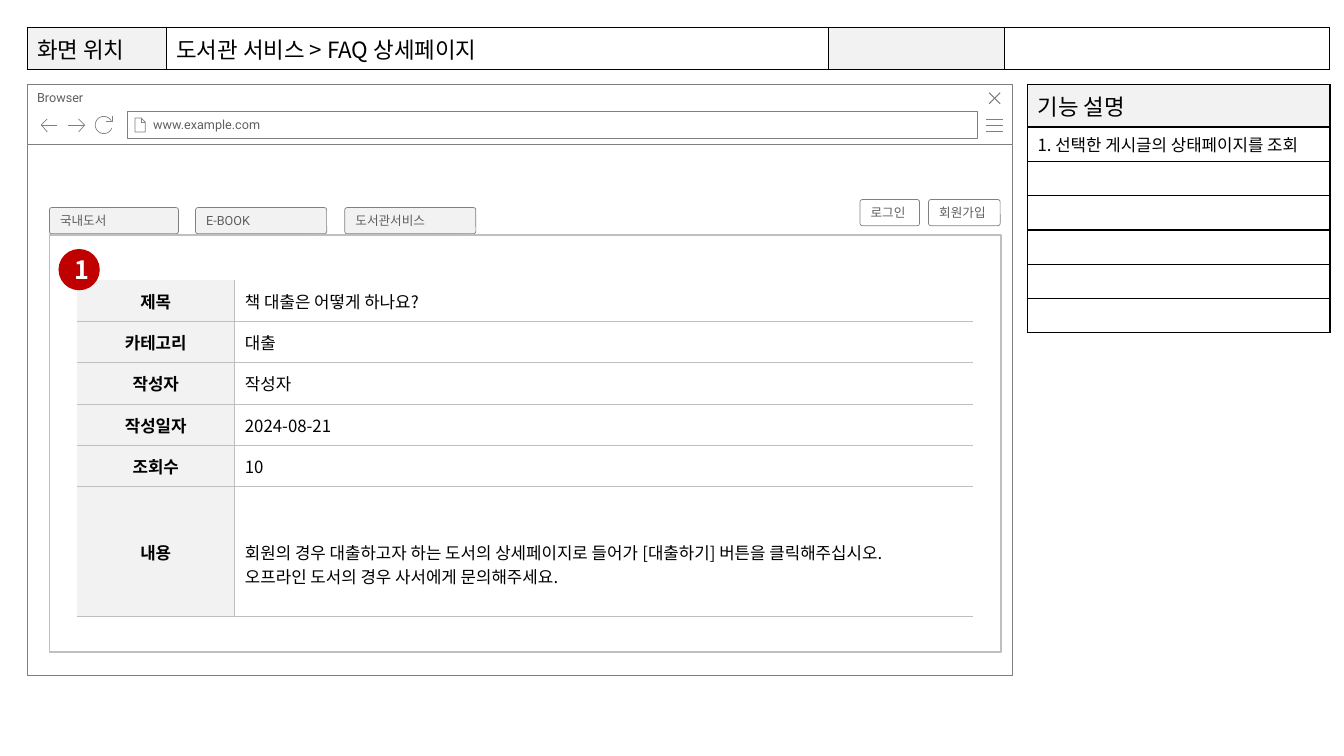
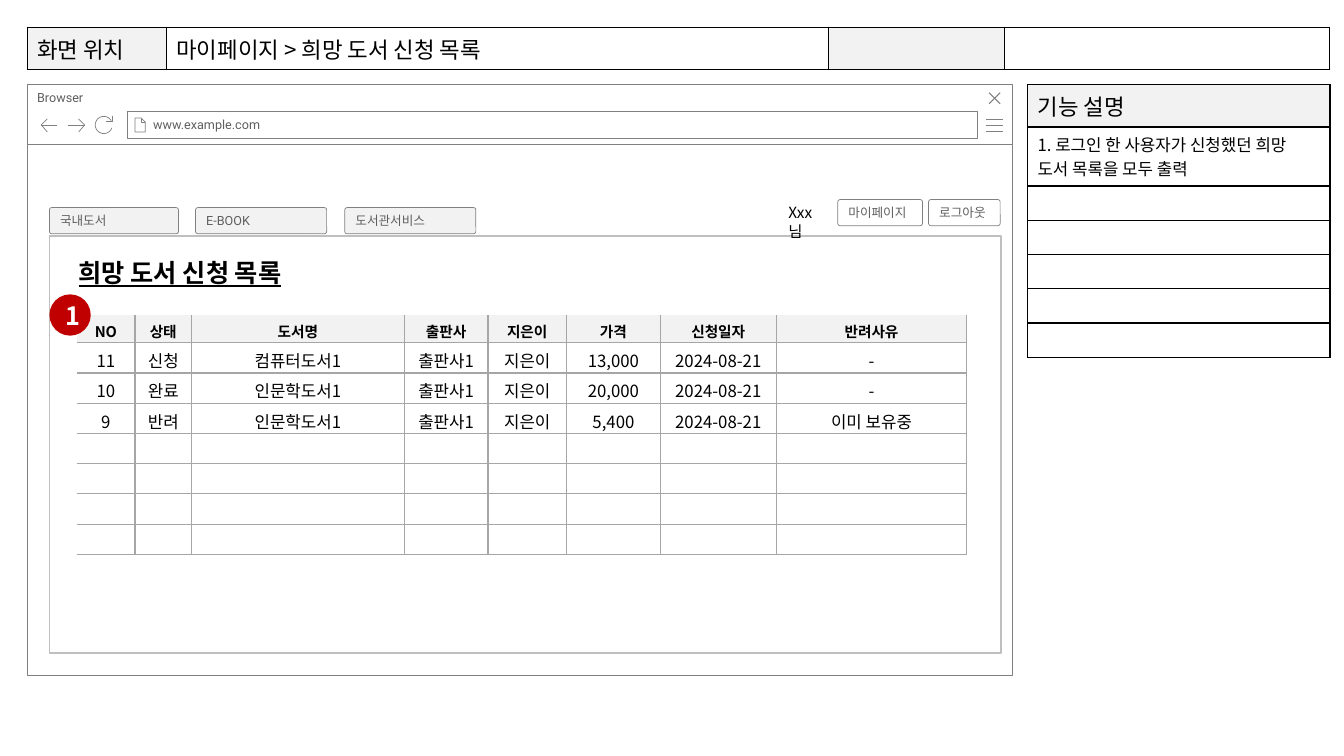
from math import cos, radians, sin

from lxml import etree
from pptx import Presentation
from pptx.dml.color import RGBColor
from pptx.enum.shapes import MSO_SHAPE
from pptx.enum.text import MSO_ANCHOR, MSO_AUTO_SIZE, PP_ALIGN
from pptx.oxml.ns import qn
from pptx.util import Inches, Pt

KOREAN, LATIN = "Noto Sans CJK KR", "Roboto"
BLACK, WHITE, RED = "000000", "FFFFFF", "C00000"
LABEL_FILL, UI_TEXT, UI_LINE = "F2F2F2", "5F5F5F", "808080"
PANEL_LINE, GRID_LINE = "BFBFBF", "A6A6A6"
NO_TABLE_STYLE = "{2D5ABB26-0587-4C30-8999-92F81FD0307C}"
TITLE_ONLY, BLANK = 5, 6


def rgb(color):
    return RGBColor.from_string(color)


def paint(target, fill=None, line=None, width=0.5):
    target.shadow.inherit = False
    if fill:
        target.fill.solid()
        target.fill.fore_color.rgb = rgb(fill)
    else:
        target.fill.background()
    if line:
        target.line.color.rgb = rgb(line)
        target.line.width = Pt(width)
    else:
        target.line.fill.background()


def write(frame, text, size, color=BLACK, font=KOREAN, bold=False,
          underline=False, align=PP_ALIGN.LEFT):
    frame.text = text
    for paragraph in frame.paragraphs:
        paragraph.alignment = align
        if not paragraph.runs:
            etree.SubElement(paragraph._p, qn("a:endParaRPr"), sz=str(int(size * 100)))
        for run in paragraph.runs:
            run.font.size = Pt(size)
            run.font.name = font
            run.font.bold = bold
            run.font.underline = underline
            run.font.color.rgb = rgb(color)
            east_asian = etree.SubElement(run.font._element, qn("a:ea"))
            east_asian.set("typeface", KOREAN)


def set_frame(frame, anchor, left=0.1, top=0.05, right=0.1, bottom=0.05):
    frame.word_wrap = True
    frame.auto_size = MSO_AUTO_SIZE.NONE
    frame.vertical_anchor = anchor
    frame.margin_left, frame.margin_top = Inches(left), Inches(top)
    frame.margin_right, frame.margin_bottom = Inches(right), Inches(bottom)


def add_box(slide, x, y, w, h, kind=MSO_SHAPE.RECTANGLE, **look):
    box = slide.shapes.add_shape(kind, Inches(x), Inches(y), Inches(w), Inches(h))
    paint(box, **look)
    return box


def add_icon(slide, *strokes, closed=False, width=0.5):
    """Draw strokes, each a list of (x, y) points in inches, as one outline."""
    paths = [[(Inches(x), Inches(y)) for x, y in stroke] for stroke in strokes]
    builder = slide.shapes.build_freeform(*paths[0][0])
    for index, path in enumerate(paths):
        if index:
            builder.move_to(*path[0])
        builder.add_line_segments(path[1:], close=closed and index == 0)
    paint(builder.convert_to_shape(), line=UI_LINE, width=width)


def add_browser(slide):
    add_box(slide, 0.27, 1.43, 9.77, 5.27, fill=WHITE, line=UI_LINE)
    toolbar = add_box(slide, 0.27, 0.84, 9.77, 0.59, fill=WHITE, line=UI_LINE)
    set_frame(toolbar.text_frame, MSO_ANCHOR.TOP)
    write(toolbar.text_frame, "Browser", 9, UI_TEXT, LATIN)
    address = add_box(slide, 1.26, 1.11, 8.43, 0.26, fill=WHITE, line=UI_LINE)
    set_frame(address.text_frame, MSO_ANCHOR.MIDDLE, left=0.26)
    write(address.text_frame, "www.example.com", 9, UI_TEXT, LATIN)

    menu = [[(9.78, y), (9.95, y)] for y in (1.18, 1.24, 1.3)]
    close = [[(9.92, 0.92), (9.81, 1.03)], [(9.81, 0.92), (9.92, 1.03)]]
    page = [[(1.4, 1.17), (1.34, 1.17), (1.34, 1.31), (1.44, 1.31), (1.44, 1.21)],
            [(1.4, 1.17), (1.4, 1.21), (1.44, 1.21)]]
    back = [[(0.47, 1.31), (0.41, 1.24), (0.47, 1.18)], [(0.41, 1.24), (0.57, 1.24)]]
    forward = [[(0.78, 1.18), (0.84, 1.24), (0.78, 1.31)], [(0.84, 1.24), (0.67, 1.24)]]
    arc = [(1.03 + 0.085 * cos(radians(a)), 1.24 + 0.085 * sin(radians(a)))
           for a in range(20, 331, 10)]
    reload = [arc, [(1.11, 1.15), (1.11, 1.2), (1.05, 1.2)]]
    add_icon(slide, *close, width=0.75)
    add_icon(slide, *page, closed=True)
    for strokes in (menu, back, forward, reload):
        add_icon(slide, *strokes)


def add_button(slide, text, x, y, w, fill):
    button = add_box(slide, x, y, w, 0.26, MSO_SHAPE.ROUNDED_RECTANGLE,
                     fill=fill, line=UI_LINE)
    button.adjustments[0] = 0.088
    set_frame(button.text_frame, MSO_ANCHOR.MIDDLE, right=0.03)
    write(button.text_frame, text, 9, UI_TEXT, LATIN)


def add_badge(slide, number, x, y):
    badge = add_box(slide, x, y, 0.41, 0.41, MSO_SHAPE.OVAL, fill=RED)
    set_frame(badge.text_frame, MSO_ANCHOR.MIDDLE)
    write(badge.text_frame, number, 18, WHITE, bold=True, align=PP_ALIGN.CENTER)


def set_borders(cell, sides, color):
    properties = cell._tc.get_or_add_tcPr()
    for side in "LRTB":
        if side in sides:
            line = etree.SubElement(properties, qn(f"a:ln{side}"), w=str(Pt(1)))
            solid = etree.SubElement(line, qn("a:solidFill"))
            etree.SubElement(solid, qn("a:srgbClr"), val=color)


def add_grid(slide, x, y, columns, rows, line, outer="LRTB"):
    """Add an empty table with inner borders and the named outer ones."""
    table = slide.shapes.add_table(len(rows), len(columns), Inches(x), Inches(y),
                                   Inches(sum(columns)), Inches(sum(rows))).table
    table.first_row = table.horz_banding = False
    table._tbl.tblPr.find(qn("a:tableStyleId")).text = NO_TABLE_STYLE
    for column, width in zip(table.columns, columns):
        column.width = Inches(width)
    for row, height in zip(table.rows, rows):
        row.height = Inches(height)
    for r in range(len(rows)):
        for c in range(len(columns)):
            at_edge = {"L": c == 0, "R": c == len(columns) - 1,
                       "T": r == 0, "B": r == len(rows) - 1}
            sides = [s for s, edge in at_edge.items() if not edge or s in outer]
            set_borders(table.cell(r, c), sides, line)
    return table


def fill_cell(cell, text, size, label=False, anchor=MSO_ANCHOR.TOP,
              top=0.05, bottom=0.05, **style):
    cell.vertical_anchor = anchor
    cell.margin_top, cell.margin_bottom = Inches(top), Inches(bottom)
    if label:
        cell.fill.solid()
        cell.fill.fore_color.rgb = rgb(LABEL_FILL)
    else:
        cell.fill.background()
    write(cell.text_frame, text, size, **style)


def add_location(slide, location):
    table = add_grid(slide, 0.27, 0.27, [1.38, 6.57, 1.74, 3.23], [0.42], BLACK)
    for c, text in enumerate(["화면 위치", location, "", ""]):
        fill_cell(table.cell(0, c), text, 16, label=c % 2 == 0)


def add_description(slide, description, height):
    rows = [0.42, height] + [0.34] * 5
    table = add_grid(slide, 10.19, 0.84, [3], rows, BLACK)
    fill_cell(table.cell(0, 0), "기능 설명", 16, label=True)
    for r in range(1, len(rows)):
        fill_cell(table.cell(r, 0), description if r == 1 else "", 12)


def add_screen(prs, layout, location, description, description_height, buttons, panel_top):
    """Add a slide with the frame, navigation and notes all screens share."""
    slide = prs.slides.add_slide(prs.slide_layouts[layout])
    add_browser(slide)
    add_description(slide, description, description_height)
    add_location(slide, location)
    for text, x, w in [("국내도서", 0.49, 1.28), ("E-BOOK", 1.94, 1.3),
                       ("도서관서비스", 3.42, 1.3)]:
        add_button(slide, text, x, 2.06, w, LABEL_FILL)
    for text, x, w in buttons:
        add_button(slide, text, x, 1.98, w, WHITE)
    add_box(slide, 0.49, panel_top, 9.44, 4.14, line=PANEL_LINE, width=1)
    return slide


def add_faq_detail(slide):
    fields = [
        ("제목", "책 대출은 어떻게 하나요?"),
        ("카테고리", "대출"),
        ("작성자", "작성자"),
        ("작성일자", "2024-08-21"),
        ("조회수", "10"),
        ("내용", "회원의 경우 대출하고자 하는 도서의 상세페이지로 들어가 [대출하기] 버튼을 "
                "클릭해주십시오.\n오프라인 도서의 경우 사서에게 문의해주세요."),
    ]
    table = add_grid(slide, 0.76, 2.78, [1.57, 7.32], [0.41] * 5 + [1.29],
                     PANEL_LINE, outer="B")
    for r, (label, value) in enumerate(fields):
        fill_cell(table.cell(r, 0), label, 12, label=True, anchor=MSO_ANCHOR.MIDDLE,
                  bold=True, align=PP_ALIGN.CENTER)
        fill_cell(table.cell(r, 1), value, 12, anchor=MSO_ANCHOR.MIDDLE,
                  top=0.3 if "\n" in value else 0.05)


def add_request_list(slide):
    requests = [
        ["NO", "상태", "도서명", "출판사", "지은이", "가격", "신청일자", "반려사유"],
        ["11", "신청", "컴퓨터도서1", "출판사1", "지은이", "13,000", "2024-08-21", "-"],
        ["10", "완료", "인문학도서1", "출판사1", "지은이", "20,000", "2024-08-21", "-"],
        ["9", "반려", "인문학도서1", "출판사1", "지은이", "5,400", "2024-08-21", "이미 보유중"],
    ] + [[""] * 8] * 4
    columns = [0.58, 0.56, 2.11, 0.83, 0.78, 0.93, 1.15, 1.89]
    table = add_grid(slide, 0.76, 3.13, columns, [0.27] + [0.3] * 7, GRID_LINE, outer="RB")
    for r, request in enumerate(requests):
        heading = r == 0
        for c, text in enumerate(request):
            fill_cell(table.cell(r, c), text, 10.5 if heading else 12, label=heading,
                      anchor=MSO_ANCHOR.MIDDLE, top=0.05, bottom=0,
                      bold=heading, align=PP_ALIGN.CENTER)


def add_title(slide, text):
    title = slide.shapes.title
    slide.shapes._spTree.append(title._element)  # bring in front of the browser
    title.left, title.top = Inches(0.68), Inches(2.5)
    title.width, title.height = Inches(2.49), Inches(0.4)
    set_frame(title.text_frame, MSO_ANCHOR.TOP)
    write(title.text_frame, text, 18, bold=True, underline=True)


def add_user_name(slide, text):
    user = slide.shapes.add_textbox(Inches(7.72), Inches(1.97), Inches(0.55), Inches(0.29))
    set_frame(user.text_frame, MSO_ANCHOR.TOP)
    write(user.text_frame, text, 11)


def main():
    prs = Presentation()
    prs.slide_width, prs.slide_height = Inches(13.33), Inches(7.5)

    faq = add_screen(prs, BLANK, "도서관 서비스 > FAQ 상세페이지",
                     "1. 선택한 게시글의 상태페이지를 조회", 0.34,
                     [("로그인", 8.53, 0.59), ("회원가입", 9.21, 0.71)], 2.33)
    add_faq_detail(faq)
    add_badge(faq, "1", 0.58, 2.47)

    wishlist = add_screen(prs, TITLE_ONLY, "마이페이지 > 희망 도서 신청 목록",
                          "1. 로그인 한 사용자가 신청했던 희망 도서 목록을 모두 출력", 0.58,
                          [("마이페이지", 8.31, 0.84), ("로그아웃", 9.21, 0.71)], 2.34)
    add_user_name(wishlist, "Xxx님")
    add_title(wishlist, "희망 도서 신청 목록")
    add_request_list(wishlist)
    add_badge(wishlist, "1", 0.49, 2.92)

    prs.save("out.pptx")


if __name__ == "__main__":
    main()
